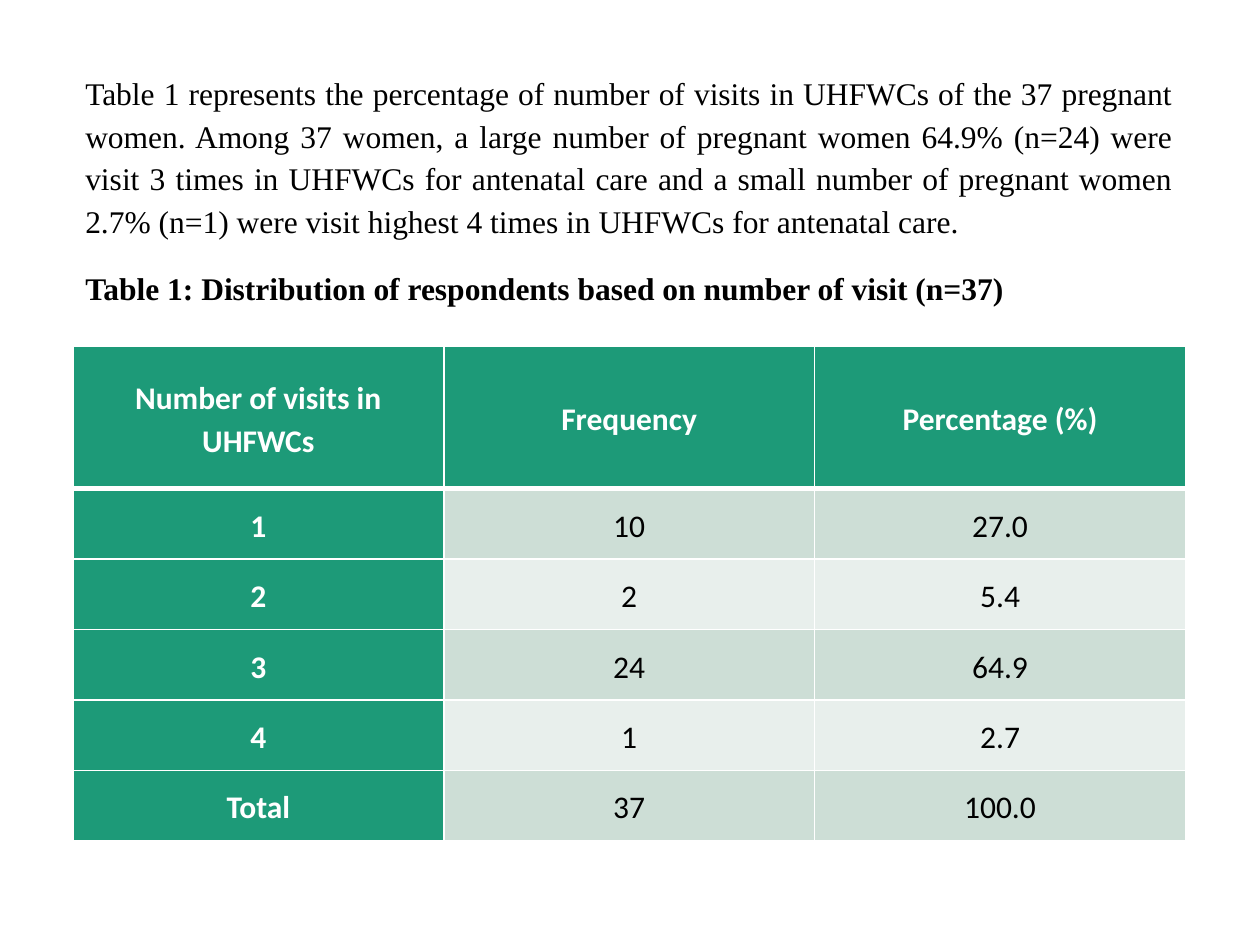
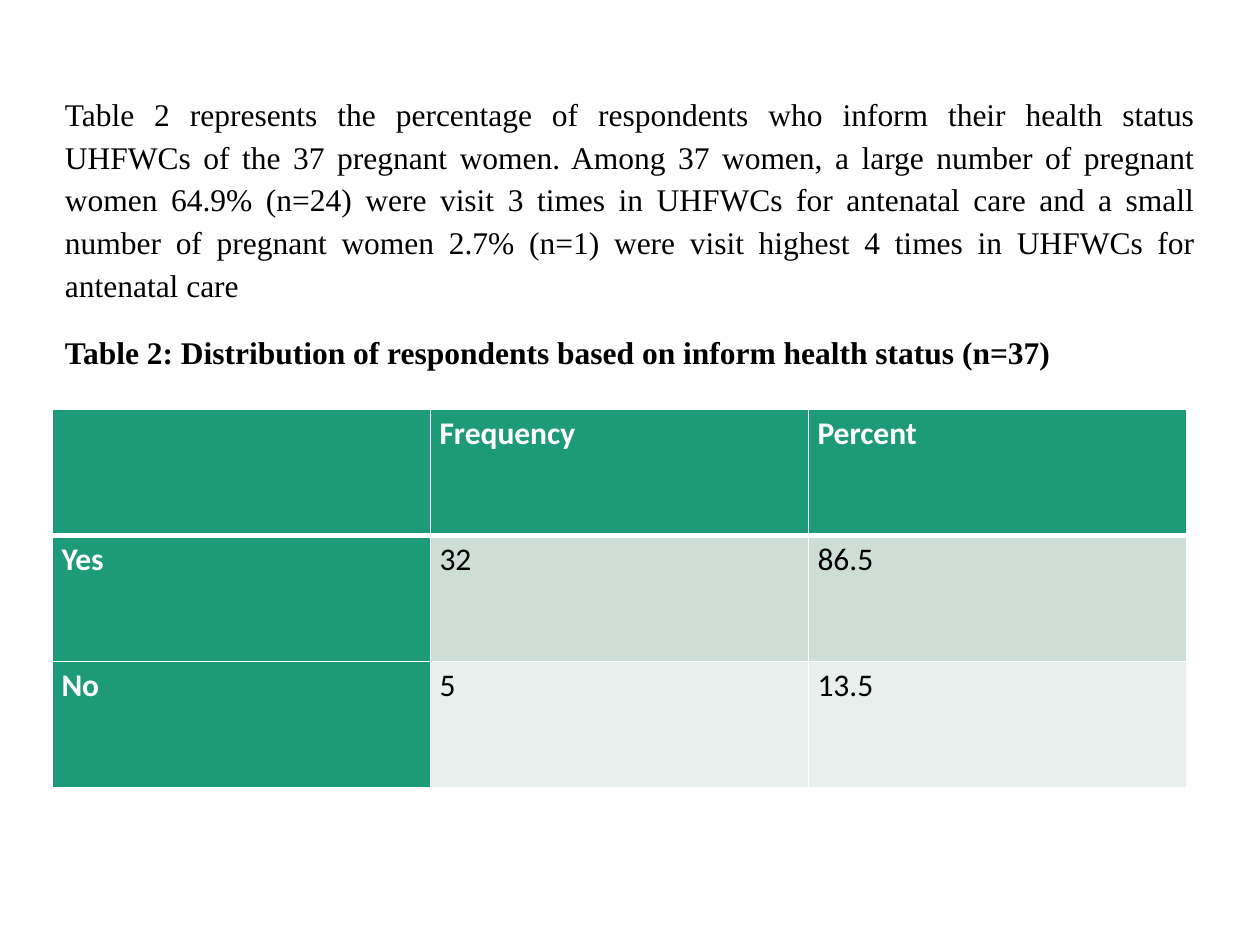
from dataclasses import dataclass

from lxml.etree import SubElement as Sub
from pptx import Presentation
from pptx.dml.color import RGBColor as Rgb
from pptx.enum.text import MSO_ANCHOR as Anchor, MSO_AUTO_SIZE as Auto, PP_ALIGN as Align
from pptx.oxml.ns import qn
from pptx.util import Cm, Pt


@dataclass(frozen=True)
class Theme:
    green: Rgb = Rgb.from_string("1D9A78")
    bands: tuple = (Rgb.from_string("CDDED6"), Rgb.from_string("E8EFEC"))
    white: Rgb = Rgb.from_string("FFFFFF")
    black: Rgb = Rgb.from_string("000000")
    size: Pt = Pt(18)
    prose: str = "Times New Roman"
    grid: str = "Calibri"
    thin: Pt = Pt(1)
    thick: Pt = Pt(3)


look = Theme()


def write(para, text, align, name, color, bold):
    para.text = text
    for key, val in dict(alignment=align, line_spacing=1.13, space_after=Pt(13.8)).items():
        setattr(para, key, val)
    font = para.runs[0].font
    for key, val in dict(name=name, size=look.size, bold=bold).items():
        setattr(font, key, val)
    font.color.rgb = color


def edge(cell, row):
    """Draw the white cell borders, heavier between head and body."""
    heavy = {"lnB": row == 0, "lnT": row == 1}
    props = cell._tc.get_or_add_tcPr()
    for side in ("lnL", "lnR", "lnT", "lnB"):
        width = look.thick if heavy.get(side) else look.thin
        line = Sub(props, qn(f"a:{side}"), w=str(int(width)))
        Sub(Sub(line, qn("a:solidFill")), qn("a:srgbClr"), val=str(look.white))


pages = [
    dict(
        prose="Table 1 represents the percentage of number of visits in UHFWCs of the 37 "
              "pregnant women. Among 37 women, a large number of pregnant women 64.9% (n=24) "
              "were visit 3 times in UHFWCs for antenatal care and a small number of pregnant "
              "women 2.7% (n=1) were visit highest 4 times in UHFWCs for antenatal care.",
        title="Table 1: Distribution of respondents based on number of visit (n=37)",
        box=(1.47, 1.27, 22.43, 5.03),
        top=6.99, width=22.43, head=2.86, body=1.42,
        align=Align.CENTER, anchor=Anchor.MIDDLE,
        rows=[
            ("Number of visits in UHFWCs", "Frequency", "Percentage (%)"),
            ("1", "10", "27.0"),
            ("2", "2", "5.4"),
            ("3", "24", "64.9"),
            ("4", "1", "2.7"),
            ("Total", "37", "100.0"),
        ],
    ),
    dict(
        prose="Table 2 represents the percentage of respondents who inform their health status "
              "UHFWCs of the 37 pregnant women. Among 37 women, a large number of pregnant "
              "women 64.9% (n=24) were visit 3 times in UHFWCs for antenatal care and a small "
              "number of pregnant women 2.7% (n=1) were visit highest 4 times in UHFWCs for "
              "antenatal care",
        title="Table 2: Distribution of respondents based on inform health status (n=37)",
        box=(1.06, 1.69, 23.29, 5.89),
        top=8.26, width=22.86, head=2.54, body=2.54,
        align=Align.JUSTIFY, anchor=Anchor.TOP,
        rows=[
            ("", "Frequency", "Percent"),
            ("Yes", "32", "86.5"),
            ("No", "5", "13.5"),
        ],
    ),
]

deck = Presentation()
deck.slide_width, deck.slide_height = Cm(25.4), Cm(19.05)

for page in pages:
    slide = deck.slides.add_slide(deck.slide_layouts[6])

    frame = slide.shapes.add_textbox(*map(Cm, page["box"])).text_frame
    frame.word_wrap = True
    frame.auto_size = Auto.SHAPE_TO_FIT_TEXT
    write(frame.paragraphs[0], page["prose"], Align.JUSTIFY, look.prose, look.black, False)
    write(frame.add_paragraph(), page["title"], Align.JUSTIFY, look.prose, look.black, True)

    rows = page["rows"]
    tall = page["head"] + page["body"] * (len(rows) - 1)
    place = map(Cm, (page["box"][0], page["top"], page["width"], tall))
    table = slide.shapes.add_table(len(rows), len(rows[0]), *place).table
    table.first_col = True
    for r, row in enumerate(rows):
        table.rows[r].height = Cm(page["body"] if r else page["head"])
        for c, text in enumerate(row):
            cell = table.cell(r, c)
            label = r == 0 or c == 0
            edge(cell, r)
            cell.fill.solid()
            cell.fill.fore_color.rgb = look.green if label else look.bands[(r - 1) % 2]
            form = dict(vertical_anchor=page["anchor"], margin_left=Cm(0.18),
                        margin_right=Cm(0.18), margin_top=0, margin_bottom=0)
            for key, val in form.items():
                setattr(cell, key, val)
            if text:
                color = look.white if label else look.black
                write(cell.text_frame.paragraphs[0], text, page["align"],
                      look.grid, color, label)

deck.save("out.pptx")
